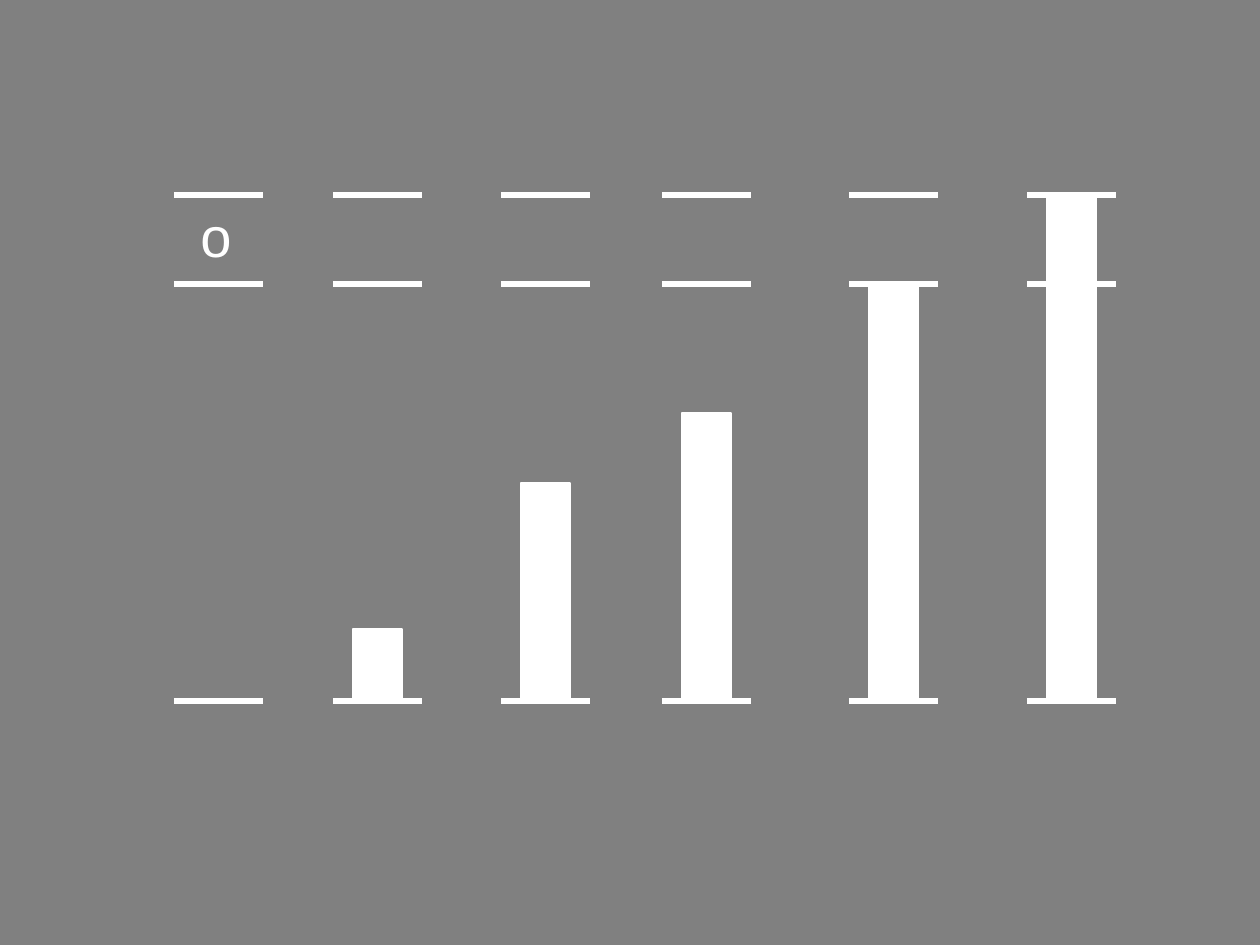
from lxml.etree import SubElement
from pptx import Presentation
from pptx.dml.color import RGBColor
from pptx.enum.shapes import MSO_CONNECTOR, MSO_SHAPE
from pptx.enum.text import MSO_AUTO_SIZE
from pptx.oxml.ns import qn
from pptx.util import Inches, Pt

PX = Inches(1) // 126
GRAY = RGBColor(0x80, 0x80, 0x80)
WHITE = RGBColor(0xFF, 0xFF, 0xFF)

COLUMN_LEFTS = [174, 333, 501, 662, 849, 1027]
MARK_WIDTH = 89
TOP, UPPER, BASE = 195, 284, 701
BAR_TOPS = [629, 483, 413, 287, TOP]
BAR_WIDTH = 49


def write_text(frame, text, size, color, font="Arial"):
    paragraph = frame.paragraphs[0]
    run = paragraph.add_run()
    run.text = text
    run.font.name = font
    run.font.size = Pt(size)
    run.font.color.rgb = color


class SlideBuilder:
    """Draws elements, with lengths in px, in one color on one slide."""

    def __init__(self, slide, color, background):
        self.slide = slide
        self.color = color
        fill = slide.background.fill
        fill.solid()
        fill.fore_color.rgb = background

    def mark(self, left, y, width):
        line = self.slide.shapes.add_connector(
            MSO_CONNECTOR.STRAIGHT, left * PX, y * PX, (left + width) * PX, y * PX)
        line.line.color.rgb = self.color
        line.line.width = Pt(3)
        SubElement(line._element.spPr, qn("a:effectLst"))

    def bar(self, left, top, width, bottom):
        shape = self.slide.shapes.add_shape(
            MSO_SHAPE.RECTANGLE, left * PX, top * PX, width * PX, (bottom - top) * PX)
        shape.shadow.inherit = False
        shape.fill.solid()
        shape.fill.fore_color.rgb = self.color
        shape.line.color.rgb = self.color
        shape.line.width = Pt(0.75)

    def label(self, text, left, top, width, height, size):
        box = self.slide.shapes.add_textbox(left * PX, top * PX, width * PX, height * PX)
        box.text_frame.word_wrap = True
        box.text_frame.auto_size = MSO_AUTO_SIZE.SHAPE_TO_FIT_TEXT
        write_text(box.text_frame, text, size=size, color=self.color)


def main():
    presentation = Presentation()
    presentation.slide_width = 1260 * PX
    presentation.slide_height = 945 * PX
    slide = presentation.slides.add_slide(presentation.slide_layouts[6])
    builder = SlideBuilder(slide, WHITE, GRAY)

    for y in (BASE, UPPER, TOP):
        for left in COLUMN_LEFTS:
            builder.mark(left, y, MARK_WIDTH)

    bar_offset = (MARK_WIDTH - BAR_WIDTH) // 2
    for left, top in zip(COLUMN_LEFTS[1:], BAR_TOPS):
        builder.bar(left + bar_offset, top, BAR_WIDTH, BASE)

    builder.label("o", 188, TOP, 77, 81, size=32)
    presentation.save("out.pptx")


if __name__ == "__main__":
    main()
